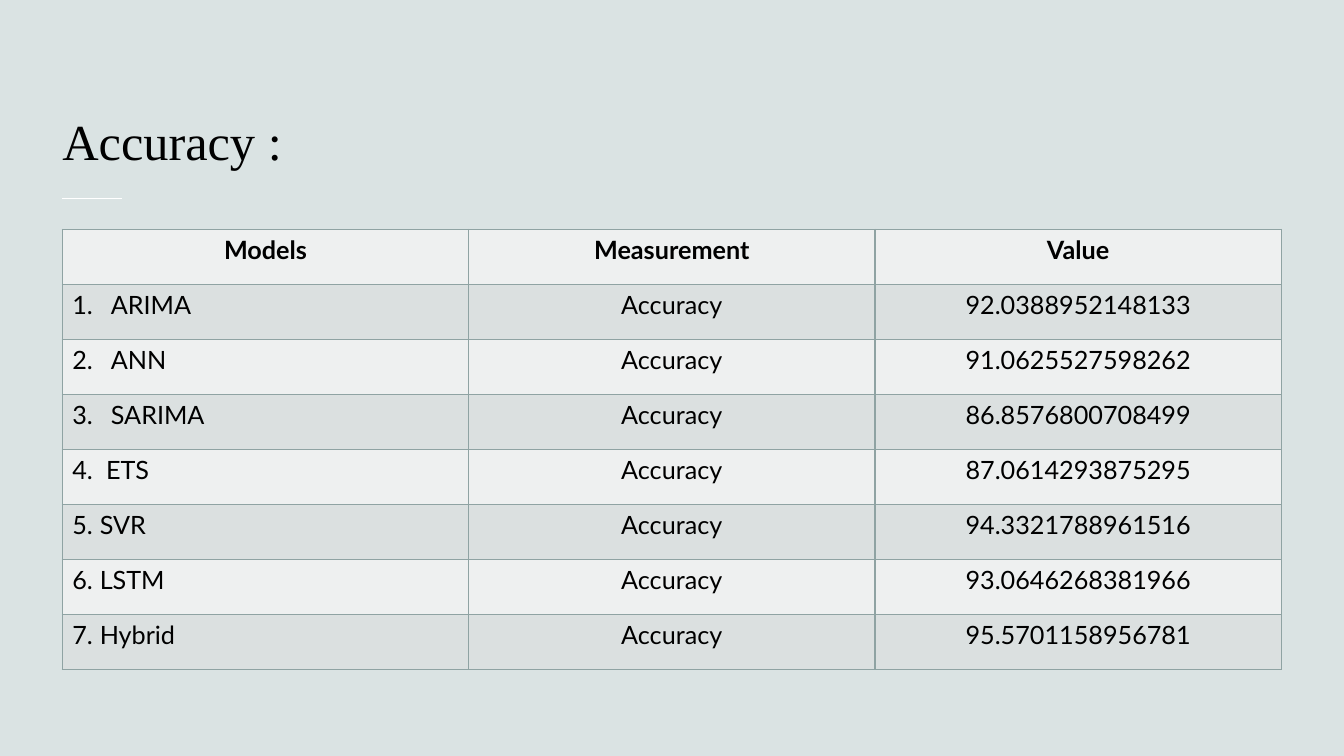
from dataclasses import dataclass

from lxml import etree
from pptx import Presentation
from pptx.dml.color import RGBColor
from pptx.enum import shapes, text
from pptx.oxml import ns
from pptx.util import Cm, Pt


@dataclass(frozen=True)
class Theme:
    back: str = "DAE3E3"
    ink: str = "000000"
    rule: str = "FFFFFF"
    edge: str = "8FA3A3"
    light: str = "EEF0F0"
    dark: str = "DBE0E0"
    serif: str = "Times New Roman"
    sans: str = "Lato"
    head: int = 36
    body: int = 18
    line: int = 1


THEME = Theme()
LEFT = Cm(1.57)
HEADS = ("Models", "Measurement", "Value")
SCORES = (
    ("ARIMA", "92.0388952148133", 0.97),
    ("ANN", "91.0625527598262", 0.97),
    ("SARIMA", "86.8576800708499", 0.97),
    ("ETS", "87.0614293875295", 0.85),
    ("SVR", "94.3321788961516", 0.69),
    ("LSTM", "93.0646268381966", 0.69),
    ("Hybrid", "95.5701158956781", 0.69),
)


def color(code):
    return RGBColor.from_string(code)


def style(para, name, size, bold=False):
    font = para.font
    font.name = name
    font.size = Pt(size)
    font.bold = bold
    font.color.rgb = color(THEME.ink)


def add_title(slide, words):
    title = slide.shapes.title
    title.left, title.top = LEFT, Cm(1.12)
    title.width, title.height = Cm(30.68), Cm(3.3)
    frame = title.text_frame
    frame.text = words
    frame.margin_left = 0
    frame.auto_size = text.MSO_AUTO_SIZE.NONE
    frame.vertical_anchor = text.MSO_ANCHOR.BOTTOM
    para = frame.paragraphs[0]
    para.alignment = text.PP_ALIGN.LEFT
    style(para, THEME.serif, THEME.head)


def add_rule(slide):
    top = Cm(5)
    rule = slide.shapes.add_connector(
        shapes.MSO_CONNECTOR.STRAIGHT, LEFT, top, LEFT + Cm(1.5), top)
    rule.line.color.rgb = color(THEME.rule)
    rule.line.width = Pt(THEME.line)
    etree.SubElement(rule._element.spPr, ns.qn("a:effectLst"))


def add_edges(cell):
    props = cell._tc.get_or_add_tcPr()
    for spot, side in enumerate(("lnL", "lnR", "lnT", "lnB")):
        edge = etree.Element(ns.qn(f"a:{side}"), w=str(Pt(THEME.line)))
        fill = etree.SubElement(edge, ns.qn("a:solidFill"))
        etree.SubElement(fill, ns.qn("a:srgbClr"), val=THEME.edge)
        props.insert(spot, edge)


def fill_cell(cell, words, fill, bold=False):
    cell.text = words
    cell.fill.solid()
    cell.fill.fore_color.rgb = color(fill)
    add_edges(cell)
    para = cell.text_frame.paragraphs[0]
    para.alignment = text.PP_ALIGN.CENTER
    style(para, THEME.sans, THEME.body, bold)
    return para


def number(para, start, indent):
    para.alignment = text.PP_ALIGN.LEFT
    props = para._p.get_or_add_pPr()
    props.set("marL", str(Cm(indent)))
    props.set("indent", str(-Cm(indent)))
    mark = etree.Element(
        ns.qn("a:buAutoNum"), type="arabicPeriod", startAt=str(start))
    props.insert(0, mark)


def add_scores(slide):
    count = len(SCORES) + 1
    table = slide.shapes.add_table(
        count, len(HEADS), LEFT, Cm(5.78), Cm(30.72), Cm(11.09)).table
    for col, head in enumerate(HEADS):
        fill_cell(table.cell(0, col), head, THEME.light, True)
    for row, (model, value, indent) in enumerate(SCORES, 1):
        fill = THEME.dark if row % 2 else THEME.light
        paras = [fill_cell(table.cell(row, col), words, fill)
                 for col, words in enumerate((model, "Accuracy", value))]
        number(paras[0], row, indent)


def main():
    deck = Presentation()
    deck.slide_width, deck.slide_height = Cm(33.87), Cm(19.05)
    slide = deck.slides.add_slide(deck.slide_layouts[5])
    slide.background.fill.solid()
    slide.background.fill.fore_color.rgb = color(THEME.back)
    add_rule(slide)
    add_title(slide, "Accuracy :")
    add_scores(slide)
    deck.save("out.pptx")


if __name__ == "__main__":
    main()
